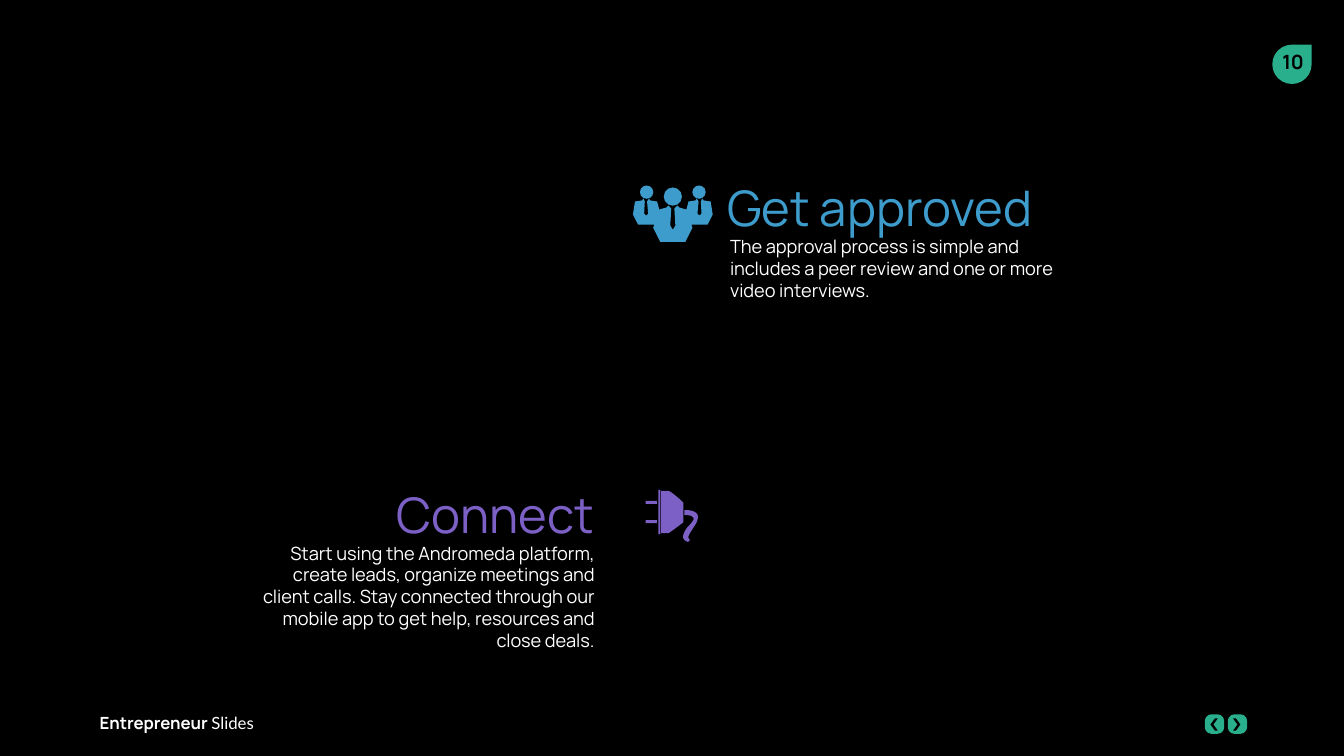
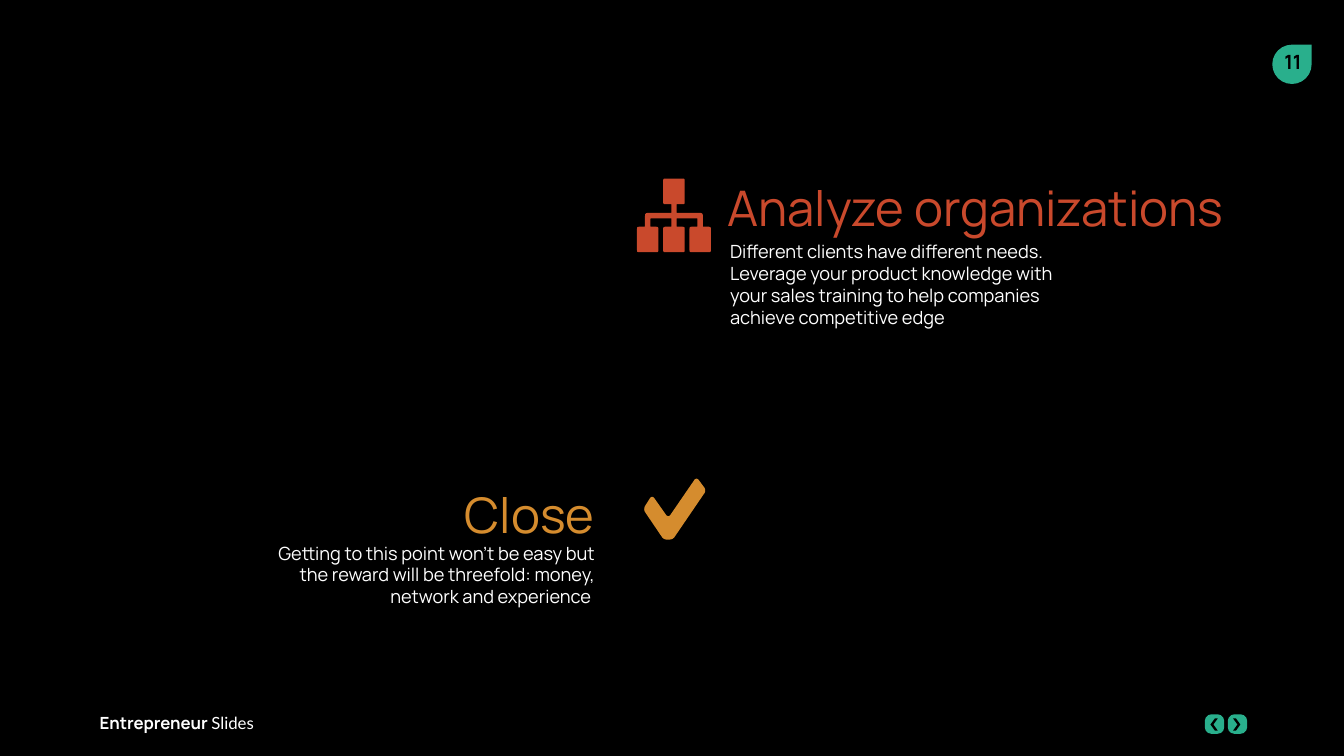
from pptx import Presentation
from pptx.dml.color import RGBColor
from pptx.enum.shapes import MSO_SHAPE
from pptx.enum.text import MSO_ANCHOR, MSO_AUTO_SIZE, PP_ALIGN
from pptx.util import Pt

LEFT, CENTER, RIGHT = PP_ALIGN.LEFT, PP_ALIGN.CENTER, PP_ALIGN.RIGHT
TOP, MIDDLE = MSO_ANCHOR.TOP, MSO_ANCHOR.MIDDLE
RECT, ROUNDED, OVAL = MSO_SHAPE.RECTANGLE, MSO_SHAPE.ROUNDED_RECTANGLE, MSO_SHAPE.OVAL
TEARDROP, CHEVRON = MSO_SHAPE.TEAR, MSO_SHAPE.CHEVRON

BLACK = RGBColor(0x00, 0x00, 0x00)
WHITE = RGBColor(0xFF, 0xFF, 0xFF)
GREEN = RGBColor(0x29, 0xAF, 0x8C)
BLUE = RGBColor(0x3D, 0x9C, 0xCC)
PURPLE = RGBColor(0x7C, 0x60, 0xC6)
RED = RGBColor(0xC9, 0x49, 0x2C)
ORANGE = RGBColor(0xD5, 0x8C, 0x2E)
FONT, FOOTER_FONT = "Manrope", "Lato"

SLIDES = [
    {"number": "10",
     "upper": {"title": "Get approved", "color": BLUE, "icon": "people", "body_top": 164.5,
               "body": "The approval process is simple and includes a peer review "
                       "and one or more video interviews."},
     "lower": {"title": "Connect", "color": PURPLE, "icon": "plug",
               "body": "Start using the Andromeda platform, create leads, organize meetings "
                       "and client calls. Stay connected through our mobile app to get help, "
                       "resources and close deals."}},
    {"number": "11",
     "upper": {"title": "Analyze organizations", "color": RED, "icon": "org", "body_top": 168.1,
               "body": "Different clients have different needs. Leverage your product knowledge "
                       "with your sales training to help companies achieve competitive edge"},
     "lower": {"title": "Close", "color": ORANGE, "icon": "check",
               "body": "Getting to this point won’t be easy but the reward will be threefold: "
                       "money, network and experience "}},
]

PEOPLE_X, PEOPLE_Y = 480.6, 141.8
HEADS = [(0, 133.9, 13), (-18.7, 132.5, 9.5), (18.7, 132.5, 9.5)]
HALF_BODIES = [(9, 31), (14, 20.9), (13.3, 18.7), (24.8, 18.7), (28.5, 11.5), (27, 2.2),
               (22, 1.4), (21, 0), (20, 2.2), (20.5, 10.8), (19, 12.2), (17.6, 10.8),
               (18.4, 2.2), (17, 0), (16.2, 1.4), (11.2, 2.2), (9.7, 7.9), (4.7, 6.5),
               (3.2, 5), (1.1, 7.2), (1.8, 19.4), (0, 22.3)]
PLUG_BARS = [(461.1, 357.8, 8.2, 2.2), (461.1, 371.5, 8.2, 2.2), (470.2, 349.9, 1.5, 31.7)]
PLUG_BODY = [(488.2, 373), (488.2, 359.3), (488.2, 358.6, 478.8, 350.6, 477.4, 350.6),
             (472.3, 350.6), (472.3, 380.9), (477.4, 380.9),
             (478.8, 380.2, 487.4, 373.7, 488.2, 373)]
PLUG_CORD = [(488.9, 364.3), (488.9, 367.9), (491, 367.9, 494.6, 367.9, 495.4, 370.1),
             (496.1, 371.5, 492.5, 375.1, 491, 376.6),
             (489.6, 378.7, 485.3, 384.5, 490.3, 386.6),
             (491.8, 388.1, 493.9, 385.2, 491.8, 384.5),
             (490.3, 383, 498.2, 373.7, 498.2, 371.5),
             (500.4, 365, 493.2, 364.3, 488.9, 364.3)]
CHECK = [(475.9, 385.4), (475, 385.4, 473.5, 384.6, 473, 383.8), (460.8, 365.8),
         (460, 364.6, 460, 362.9, 460.8, 361.4), (464.4, 355.7),
         (465.4, 354.6, 466.3, 354.6, 467.3, 355.7), (475.9, 367.9),
         (477, 369, 477.8, 369, 478.8, 367.9), (496.1, 342.7),
         (497, 341.7, 498, 341.7, 499, 342.7), (503.3, 348.5),
         (503.9, 350, 503.9, 351, 503.3, 352.1), (481.7, 383.8),
         (480.5, 385, 479.5, 385.4, 478, 385.4)]
ORG_X, ORG_Y = 481.4, 127.6
HALF_ORG = [(7.7, 0, 2.5), (7.7, 18.3, 2.5), (1.9, 18.3, 0), (1.9, 24.5, 0), (20.7, 24.5, 4),
            (20.7, 34.4, 0), (26.4, 34.4, 2.5), (26.4, 52.6, 2.5), (11.1, 52.6, 2.5),
            (11.1, 34.4, 2.5), (16.8, 34.4, 0), (16.8, 28.4, 1), (1.9, 28.4, 0),
            (1.9, 34.4, 0), (7.7, 34.4, 2.5), (7.7, 52.6, 2.5)]


def add_text(s, text, box, sp=None, size=13, color=WHITE, font=FONT, bold=False,
             align=LEFT, anchor=TOP, wrap=True):
    if sp is None:
        sp = s.shapes.add_textbox(0, 0, 0, 0)
    sp.left, sp.top, sp.width, sp.height = map(Pt, box)
    tf = sp.text_frame
    tf.auto_size = MSO_AUTO_SIZE.NONE
    tf.word_wrap, tf.vertical_anchor = wrap, anchor
    p = tf.paragraphs[0]
    p.alignment = align
    runs = [(text, font, bold)] if isinstance(text, str) else text
    for run_text, run_font, run_bold in runs:
        r = p.add_run()
        r.text = run_text
        r.font.name, r.font.size, r.font.bold = run_font, Pt(size), run_bold
        r.font.color.rgb = color


def paint(sp, color):
    sp.shadow.inherit = False
    sp.fill.solid()
    sp.fill.fore_color.rgb = color
    sp.line.fill.background()
    return sp


def add_shape(s, kind, box, color, adjust=None):
    sp = paint(s.shapes.add_shape(kind, *map(Pt, box)), color)
    if adjust is not None:
        sp.adjustments[0] = adjust
    return sp


def flatten(outline, steps=8):
    points = []
    for part in outline:
        if len(part) == 2:
            points.append(part)
            continue
        x0, y0 = points[-1]
        x1, y1, x2, y2, x3, y3 = part
        for i in range(1, steps + 1):
            t = i / steps
            a, b, c, d = (1 - t) ** 3, 3 * t * (1 - t) ** 2, 3 * t * t * (1 - t), t ** 3
            points.append((a * x0 + b * x1 + c * x2 + d * x3,
                           a * y0 + b * y1 + c * y2 + d * y3))
    return [(Pt(x), Pt(y)) for x, y in points]


def add_outline(s, outline, color):
    first, *rest = flatten(outline)
    builder = s.shapes.build_freeform(*first)
    builder.add_line_segments(rest, close=True)
    paint(builder.convert_to_shape(), color)


def toward(start, end, distance):
    dx, dy = end[0] - start[0], end[1] - start[1]
    share = distance / max(abs(dx), abs(dy))
    return start[0] + dx * share, start[1] + dy * share


def round_corners(corners):
    outline = []
    for i, (x, y, radius) in enumerate(corners):
        before, after = corners[i - 1], corners[(i + 1) % len(corners)]
        outline.append(toward((x, y), before, radius))
        if radius:
            outline.append((x, y, x, y, *toward((x, y), after, radius)))
    return outline


def draw_people(s, color):
    for dx, top, d in HEADS:
        add_shape(s, OVAL, (PEOPLE_X + dx - d / 2, top, d, d), color)
    mirrored = [(-dx, dy) for dx, dy in reversed(HALF_BODIES[:-1])]
    add_outline(s, [(PEOPLE_X + dx, PEOPLE_Y + dy) for dx, dy in HALF_BODIES + mirrored], color)


def draw_plug(s, color):
    for bar in PLUG_BARS:
        add_shape(s, RECT, bar, color)
    for outline in (PLUG_BODY, PLUG_CORD):
        add_outline(s, outline, color)


def draw_org(s, color):
    mirrored = [(-dx, dy, radius) for dx, dy, radius in reversed(HALF_ORG)]
    corners = [(ORG_X + dx, ORG_Y + dy, radius) for dx, dy, radius in HALF_ORG + mirrored]
    add_outline(s, round_corners(corners), color)


def draw_check(s, color):
    add_outline(s, CHECK, color)


ICONS = {"people": draw_people, "plug": draw_plug, "org": draw_org, "check": draw_check}


def draw_frame(s, number):
    add_text(s, [("Entrepreneur ", FONT, True), ("Slides", FOOTER_FONT, False)],
             (64.1, 505.4, 144, 21.6), size=12)
    for x, arrow_x, turn in ((860.6, 864.6, 180), (877, 880.8, 0)):
        add_shape(s, ROUNDED, (x, 510.2, 13.9, 14), GREEN, 0.35)
        arrow = add_shape(s, CHEVRON, (arrow_x, 513.2, 5.2, 8.6), BLACK, 0.6)
        arrow.rotation = turn
    add_shape(s, TEARDROP, (908.8, 31.9, 28.1, 28.1), GREEN)
    add_text(s, number, (906.3, 32.4, 34.6, 24.5), size=14, color=BLACK, bold=True,
             align=CENTER, wrap=False)


def build_slide(prs, content):
    s = prs.slides.add_slide(prs.slide_layouts[5])
    draw_frame(s, content["number"])
    upper, lower = content["upper"], content["lower"]
    add_text(s, upper["title"], (512.3, 124.6, 380, 46), sp=s.shapes.title, size=35,
             color=upper["color"], anchor=MIDDLE)
    add_text(s, upper["body"], (514.4, upper["body_top"], 257, 77))
    add_text(s, lower["title"], (129.4, 344.2, 302.4, 46), size=35,
             color=lower["color"], align=RIGHT, anchor=MIDDLE)
    add_text(s, lower["body"], (174.8, 383.5, 257, 73.4), align=RIGHT)
    for step in (upper, lower):
        ICONS[step["icon"]](s, step["color"])


def main():
    prs = Presentation()
    prs.slide_width, prs.slide_height = Pt(960), Pt(540)
    fill = prs.slide_master.background.fill
    fill.solid()
    fill.fore_color.rgb = BLACK
    for content in SLIDES:
        build_slide(prs, content)
    prs.save("out.pptx")


if __name__ == "__main__":
    main()
